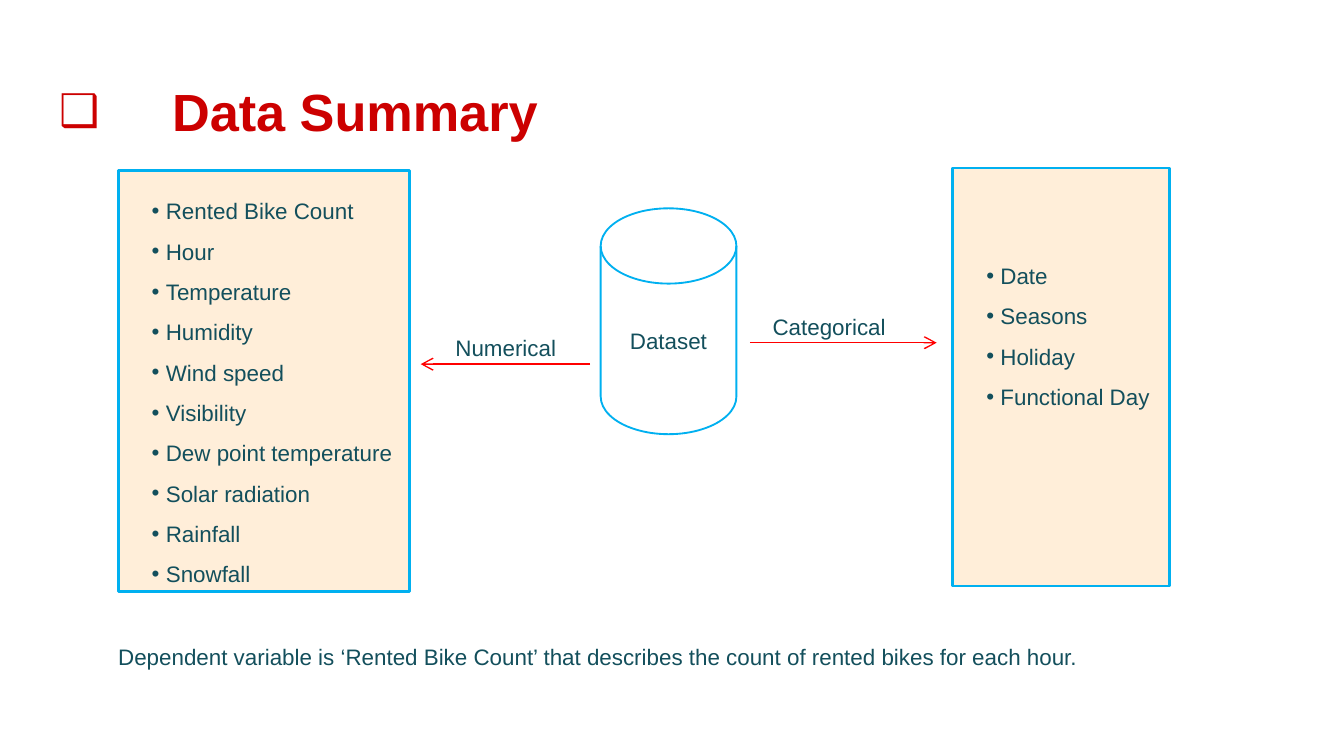
from dataclasses import dataclass

from lxml.etree import SubElement
from pptx import Presentation
from pptx.dml.color import RGBColor
from pptx.enum.shapes import MSO_CONNECTOR, MSO_SHAPE
from pptx.enum.text import MSO_ANCHOR, PP_ALIGN
from pptx.oxml.ns import qn
from pptx.util import Pt


@dataclass(frozen=True)
class Theme:
    """Colours, font and type sizes of the slide."""
    font: str = "Arial"
    title_size: int = 28
    text_size: int = 12
    title: RGBColor = RGBColor(0xCC, 0x00, 0x00)
    text: RGBColor = RGBColor(0x13, 0x4F, 0x5C)
    panel: RGBColor = RGBColor(0xFF, 0xEE, 0xD9)
    outline: RGBColor = RGBColor(0x00, 0xB0, 0xF0)
    arrow: RGBColor = RGBColor(0xFF, 0x00, 0x00)


THEME = Theme()


def to_points(box):
    """Convert a sequence of point values to lengths."""
    return [Pt(v) for v in box]


def format_runs(p, size=THEME.text_size, color=THEME.text, bold=False):
    """Apply font, size, colour and weight to the runs of a paragraph."""
    for r in p.runs:
        r.font.name = THEME.font
        r.font.size = Pt(size)
        r.font.color.rgb = color
        r.font.bold = bold


def set_bullet(p, char, left, hanging, scale=100):
    """Give a paragraph a hanging bullet that follows the text colour."""
    ppr = p._p.get_or_add_pPr()
    ppr.set("marL", str(Pt(left)))
    ppr.set("indent", str(-Pt(hanging)))
    SubElement(ppr, qn("a:buSzPct"), val=str(scale * 1000))
    SubElement(ppr, qn("a:buFont"), typeface=THEME.font)
    SubElement(ppr, qn("a:buChar"), char=char)


def set_insets(tf, x, y):
    """Set equal side insets and equal top and bottom insets."""
    tf.margin_left = tf.margin_right = Pt(x)
    tf.margin_top = tf.margin_bottom = Pt(y)


def add_title(s, box, text):
    """Place the slide title with its square bullet."""
    sp = s.shapes.title
    sp.left, sp.top, sp.width, sp.height = to_points(box)
    tf = sp.text_frame
    set_insets(tf, 7.2, 7.2)
    tf.vertical_anchor = MSO_ANCHOR.TOP
    tf.text = text
    p = tf.paragraphs[0]
    p.alignment = PP_ALIGN.LEFT
    set_bullet(p, "❑", 60.5, 60.5, 86)
    format_runs(p, THEME.title_size, THEME.title, True)


def add_outlined(s, kind, box, width):
    """Add an unfilled shape with the outline colour."""
    sp = s.shapes.add_shape(kind, *to_points(box))
    sp.shadow.inherit = False
    sp.fill.background()
    sp.line.color.rgb = THEME.outline
    sp.line.width = Pt(width)
    return sp


def add_panel(s, box, items, top=7.2):
    """Place a filled panel with a bulleted list of variables."""
    sp = add_outlined(s, MSO_SHAPE.RECTANGLE, box, 1.5)
    sp.fill.solid()
    sp.fill.fore_color.rgb = THEME.panel
    tf = sp.text_frame
    set_insets(tf, 7.2, 7.2)
    tf.margin_top = Pt(top)
    tf.vertical_anchor = MSO_ANCHOR.TOP
    tf.text = "\n".join(items)
    for p in tf.paragraphs:
        p.alignment = PP_ALIGN.LEFT
        p.line_spacing = Pt(21.6)
        set_bullet(p, "•", 18.4, 7.6)
        format_runs(p)


def add_dataset(s, box, text):
    """Place the data store with its name."""
    tf = add_outlined(s, MSO_SHAPE.FLOWCHART_MAGNETIC_DISK, box, 1).text_frame
    set_insets(tf, 3.6, 3.6)
    tf.vertical_anchor = MSO_ANCHOR.MIDDLE
    tf.text = text
    tf.paragraphs[0].alignment = PP_ALIGN.CENTER
    format_runs(tf.paragraphs[0])


def add_text(s, box, text):
    """Place a line of body text."""
    tf = s.shapes.add_textbox(*to_points(box)).text_frame
    tf.word_wrap = True
    tf.text = text
    format_runs(tf.paragraphs[0])


def add_flow(s, label_box, text, start, end):
    """Place a label and the arrow that runs along its foot."""
    add_text(s, label_box, text)
    y = label_box[1] + 19.4
    line = s.shapes.add_connector(
        MSO_CONNECTOR.STRAIGHT, *to_points((start, y, end, y)))
    line.line.color.rgb = THEME.arrow
    line.line.width = Pt(0.75)
    SubElement(line.line._get_or_add_ln(), qn("a:tailEnd"), type="arrow")
    SubElement(line._element.spPr, qn("a:effectLst"))


def main():
    """Build the data summary slide."""
    prs = Presentation()
    prs.slide_width, prs.slide_height = Pt(720), Pt(405)
    s = prs.slides.add_slide(prs.slide_layouts[5])
    add_title(s, (24.5, 35.3, 671, 45.4), "Data Summary")
    add_panel(s, (63.4, 91.4, 156.2, 225.4), [
        "Rented Bike Count", "Hour", "Temperature", "Humidity", "Wind speed",
        "Visibility", "Dew point temperature", "Solar radiation", "Rainfall",
        "Snowfall"])
    add_panel(s, (510.5, 90, 116, 224),
              ["Date", "Seasons", "Holiday", "Functional Day"], top=43.2)
    add_dataset(s, (321.8, 111.6, 72.7, 121), "Dataset")
    add_flow(s, (236.9, 175.7, 72.7, 21.6), "Numerical", 316.1, 225.4)
    add_flow(s, (406.8, 164.2, 77.8, 21.6), "Categorical", 401.8, 501.8)
    add_text(s, (56.2, 341.3, 648.7, 21.6),
             "Dependent variable is ‘Rented Bike Count’ that describes "
             "the count of rented bikes for each hour.")
    prs.save("out.pptx")


if __name__ == "__main__":
    main()
